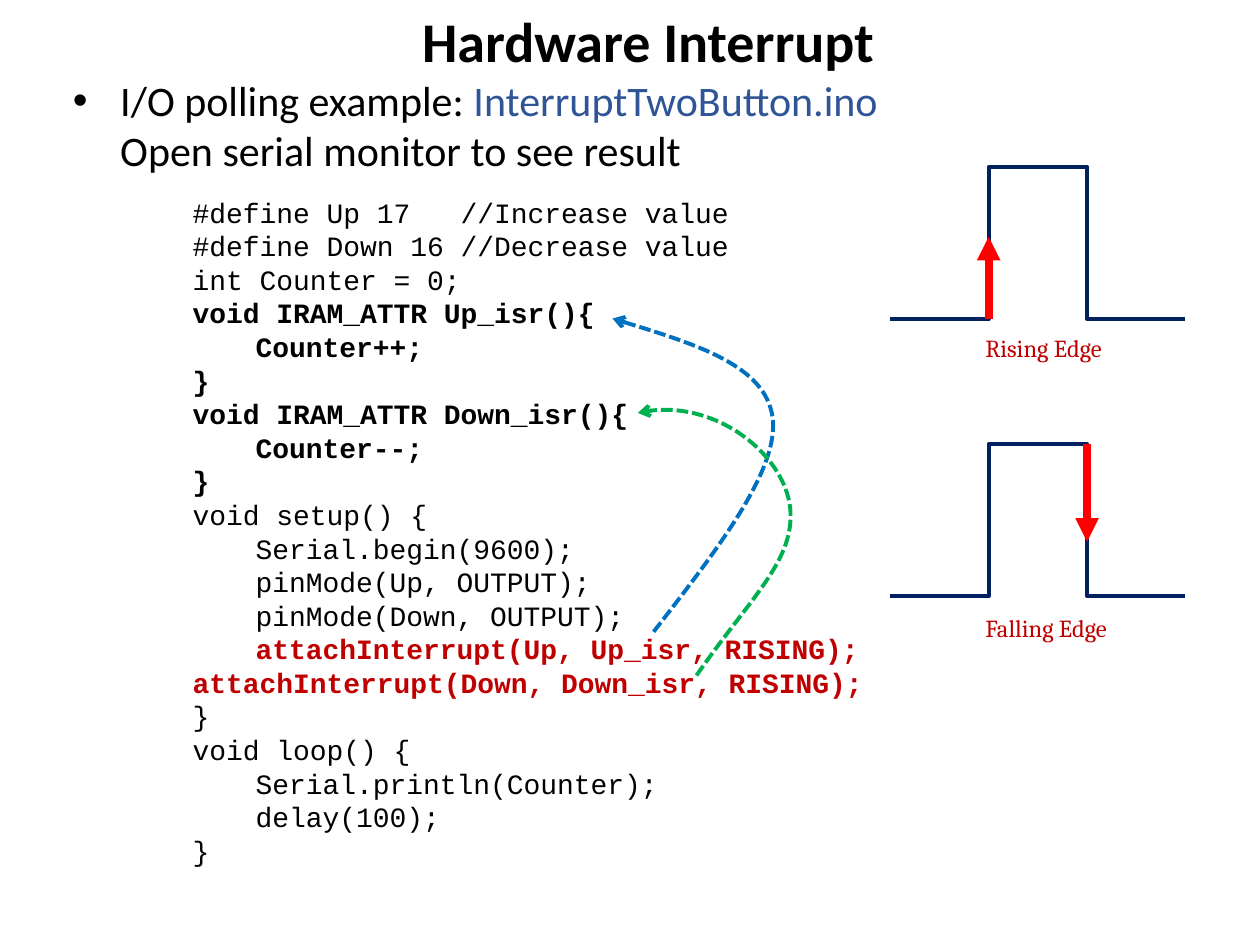
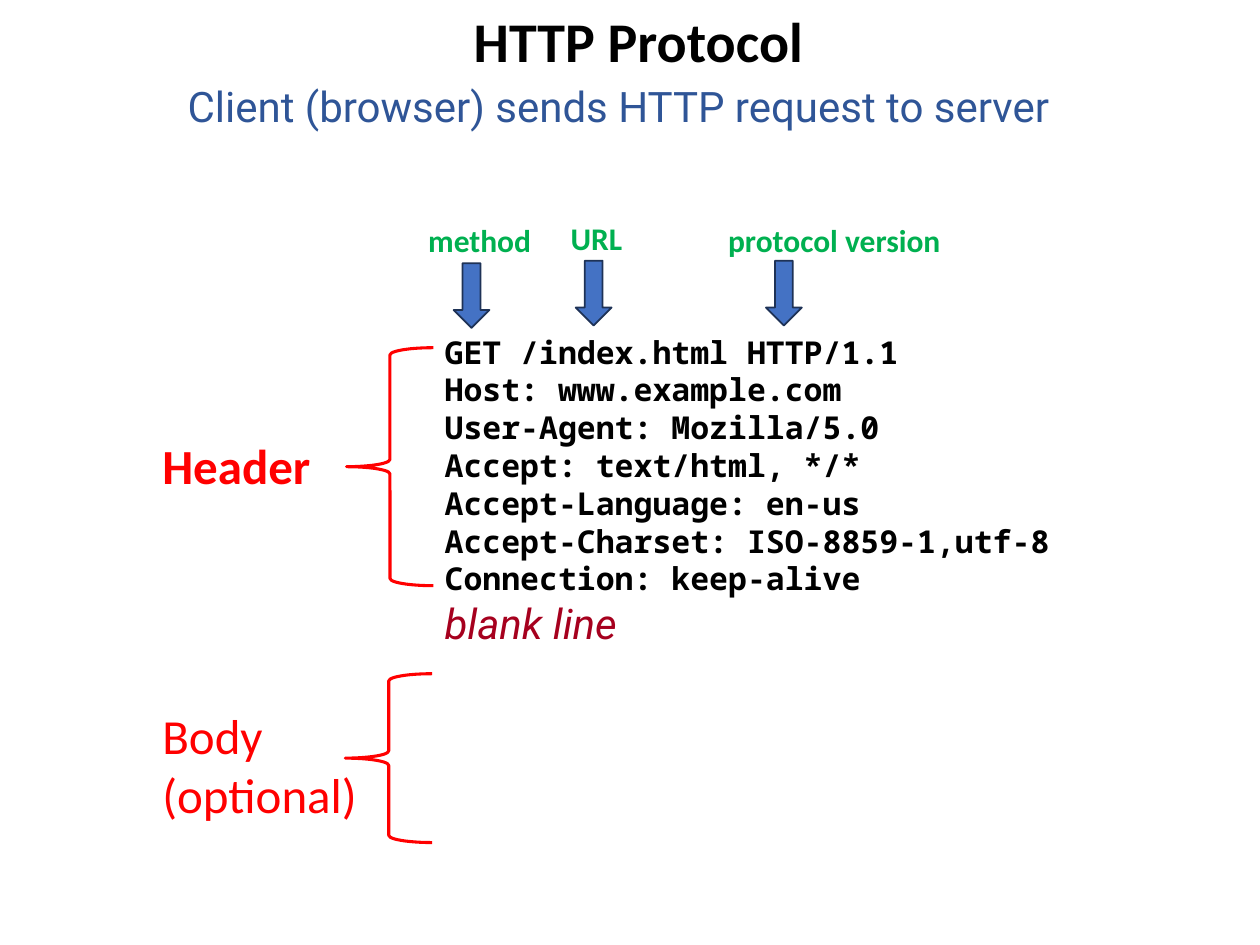
from lxml.etree import SubElement
from pptx import Presentation
from pptx.dml.color import RGBColor
from pptx.enum.shapes import MSO_CONNECTOR, MSO_SHAPE
from pptx.enum.text import MSO_ANCHOR, MSO_AUTO_SIZE, PP_ALIGN
from pptx.oxml.ns import qn
from pptx.util import Pt

COLORS = {
    "black": "000000", "link": "2F5597", "red": "FF0000", "dark red": "C00000",
    "crimson": "A6001E", "navy": "002060", "blue": "0070C0", "green": "00B050",
    "arrow": "4472C4", "arrow edge": "1E3256",
}


def write(box, text, font="Calibri", size=18, color="black", bold=False,
          italic=False, margin=0, bullet=None, spacing=None, join=False):
    """Add one paragraph to a box, or with join a further run to its last one."""
    frame = box.text_frame
    para = frame.paragraphs[-1]
    if not join:
        if para.runs:
            para = frame.add_paragraph()
        frame.word_wrap = True
        frame.auto_size = MSO_AUTO_SIZE.NONE
        frame.vertical_anchor = MSO_ANCHOR.TOP
        para.alignment = PP_ALIGN.LEFT
        para.space_before = Pt(0)
        if spacing:
            para.line_spacing = Pt(spacing)
        properties = para._p.get_or_add_pPr()
        properties.set("marL", str(Pt(margin)))
        properties.set("indent", str(Pt(-margin if bullet else 0)))
        if bullet:
            SubElement(properties, qn("a:buChar"), char=bullet)
        else:
            SubElement(properties, qn("a:buNone"))
    span = para.add_run()
    span.text = text
    span.font.name = font
    span.font.size = Pt(size)
    span.font.bold = bold
    span.font.italic = italic
    span.font.color.rgb = RGBColor.from_string(COLORS[color])


def outline(shape, color, width, dash=None, head=None):
    """Style a line, with an optional dash and end arrowhead, and no shadow."""
    shape.line.color.rgb = RGBColor.from_string(COLORS[color])
    shape.line.width = Pt(width)
    properties = shape._element.spPr
    line = properties.find(qn("a:ln"))
    if dash:
        SubElement(line, qn("a:prstDash"), val=dash)
    if head:
        SubElement(line, qn("a:tailEnd"), type=head)
    SubElement(properties, qn("a:effectLst"))


deck = Presentation()
deck.slide_width, deck.slide_height = Pt(720), Pt(540)

# Titles and body frames of both slides
pages, bodies = [], []
for title, title_left, body_frame in [
    ("Hardware Interrupt", 234, (34.5, 39, 479, 70)),
    ("HTTP Protocol", 263.5, (100, 42.5, 539, 36)),
]:
    page = deck.slides.add_slide(deck.slide_layouts[1])
    heading, body = page.placeholders
    heading.left, heading.top, heading.width, heading.height = map(Pt, (title_left, 0, 300, 46))
    body.left, body.top, body.width, body.height = map(Pt, body_frame)
    write(heading, title, size=32, bold=True)
    pages.append(page)
    bodies.append(body)
interrupt_page, http_page = pages
polling_list, request_line = bodies

# Slide 1: interrupt code
write(polling_list, "I/O polling example: ", size=24, margin=27, bullet="•")
write(polling_list, "InterruptTwoButton.ino", size=24, color="link", join=True)
write(polling_list, "Open serial monitor to see result", size=24, margin=27)

plain, strong = {}, {"bold": True}
code_blocks = [
    (plain, ["#define Up 17   //Increase value",
             "#define Down 16 //Decrease value",
             "int Counter = 0;"]),
    (strong, ["void IRAM_ATTR Up_isr(){", "\tCounter++;", "}",
              "void IRAM_ATTR Down_isr(){", "\tCounter--;", "}"]),
    (plain, ["void setup() {", "\tSerial.begin(9600);",
             "\tpinMode(Up, OUTPUT);", "\tpinMode(Down, OUTPUT);"]),
    ({"bold": True, "color": "dark red"},
     ["\tattachInterrupt(Up, Up_isr, RISING);",
      "attachInterrupt(Down, Down_isr, RISING);"]),
    (plain, ["}", "void loop() {", "\tSerial.println(Counter);", "\tdelay(100);", "}"]),
]
code_box = interrupt_page.shapes.add_textbox(Pt(103), Pt(108), Pt(598), Pt(395))
for style, lines in code_blocks:
    for line in lines:
        write(code_box, line.lstrip("\t"), font="Courier New", size=16, spacing=19.2,
              margin=36 if line.startswith("\t") else 0, **style)

# Curved arrows from each attachInterrupt call to its handler
for color, points in [
    ("blue", [(373.5, 361), (409.5, 314.5), (445.5, 268.5), (441.5, 238.5),
              (437.5, 209), (394, 195.5), (350, 182)]),
    ("green", [(398, 386), (430, 340), (454.5, 320), (451.5, 290),
               (448, 260), (406, 226), (364.5, 236)]),
]:
    points = [(Pt(x), Pt(y)) for x, y in points]
    builder = interrupt_page.shapes.build_freeform(*points[0])
    builder.add_line_segments(points[1:], close=False)
    curve = builder.convert_to_shape()
    curve.fill.background()
    outline(curve, color, 2.25, dash="sysDash", head="arrow")
    segments = list(curve._element.iter(qn("a:lnTo")))
    for start in range(0, len(segments), 3):
        bezier = SubElement(segments[start].getparent(), qn("a:cubicBezTo"))
        for segment in segments[start:start + 3]:
            bezier.append(segment[0])
            segment.getparent().remove(segment)

# Pulses: each is two elbows, an edge arrow and a label
pulse_left, pulse_step, pulse_height = 508.8, 56.2, 87
low_start, rise, fall, low_end = [pulse_left + pulse_step * i for i in range(4)]
for label, top, label_top, edge, edge_start, edge_end in [
    ("Rising Edge", 95.3, 186.5, rise, pulse_height, 40),
    ("Falling Edge", 253.6, 347, fall, 0, 56),
]:
    for kind, x1, y1, x2, y2, color, width, head in [
        (MSO_CONNECTOR.ELBOW, rise, 0, low_end, pulse_height, "navy", 2.25, None),
        (MSO_CONNECTOR.ELBOW, fall, 0, low_start, pulse_height, "navy", 2.25, None),
        (MSO_CONNECTOR.STRAIGHT, edge, edge_start, edge, edge_end, "red", 4.5, "triangle"),
    ]:
        connector = interrupt_page.shapes.add_connector(
            kind, Pt(x1), Pt(top + y1), Pt(x2), Pt(top + y2))
        outline(connector, color, width, head=head)
    label_box = interrupt_page.shapes.add_textbox(Pt(556), Pt(label_top), Pt(91.5), Pt(24.5))
    write(label_box, label, font="Cambria", size=14, color="dark red")

# Slide 2: request text
write(request_line, "Client (browser) sends HTTP request to server",
      font="Roboto", size=24, color="link")

request_box = http_page.shapes.add_textbox(Pt(247), Pt(186.5), Pt(365), Pt(189.5))
for line in [
    "GET /index.html HTTP/1.1",
    "Host: www.example.com",
    "User-Agent: Mozilla/5.0",
    "Accept: text/html, */*",
    "Accept-Language: en-us",
    "Accept-Charset: ISO-8859-1,utf-8",
    "Connection: keep-alive",
]:
    write(request_box, line, font="Noto Sans Mono", bold=True, spacing=21.6)
write(request_box, "blank line", font="Roboto", size=24, color="crimson", italic=True)

# Braces with the names of the message parts
for lines, bold, text_top, brace_left, brace_top, brace_height in [
    (["Header"], True, 245.5, 198, 198.7, 136),
    (["Body", "(optional)"], False, 399.5, 197.3, 385, 96.5),
]:
    brace = http_page.shapes.add_shape(
        MSO_SHAPE.LEFT_BRACE, Pt(brace_left), Pt(brace_top), Pt(49.7), Pt(brace_height))
    brace.fill.background()
    outline(brace, "red", 1.75)
    part_box = http_page.shapes.add_textbox(
        Pt(85.7), Pt(text_top), Pt(140), Pt(7 + 34 * len(lines)))
    for line in lines:
        write(part_box, line, size=28, color="red", bold=bold)

# Labels and arrows over the request line
for label, label_left, label_top, label_width, arrow_left, arrow_top in [
    ("method", 237.6, 122.5, 84, 259.2, 150.4),
    ("URL", 319, 121.7, 55, 329, 149),
    ("protocol version", 409, 122.5, 150, 437.7, 149),
]:
    label_box = http_page.shapes.add_textbox(
        Pt(label_left), Pt(label_top), Pt(label_width), Pt(29))
    write(label_box, label, color="green", bold=True)
    arrow = http_page.shapes.add_shape(
        MSO_SHAPE.DOWN_ARROW, Pt(arrow_left), Pt(arrow_top), Pt(20.5), Pt(37))
    arrow.fill.solid()
    arrow.fill.fore_color.rgb = RGBColor.from_string(COLORS["arrow"])
    outline(arrow, "arrow edge", 1)

deck.save("out.pptx")
